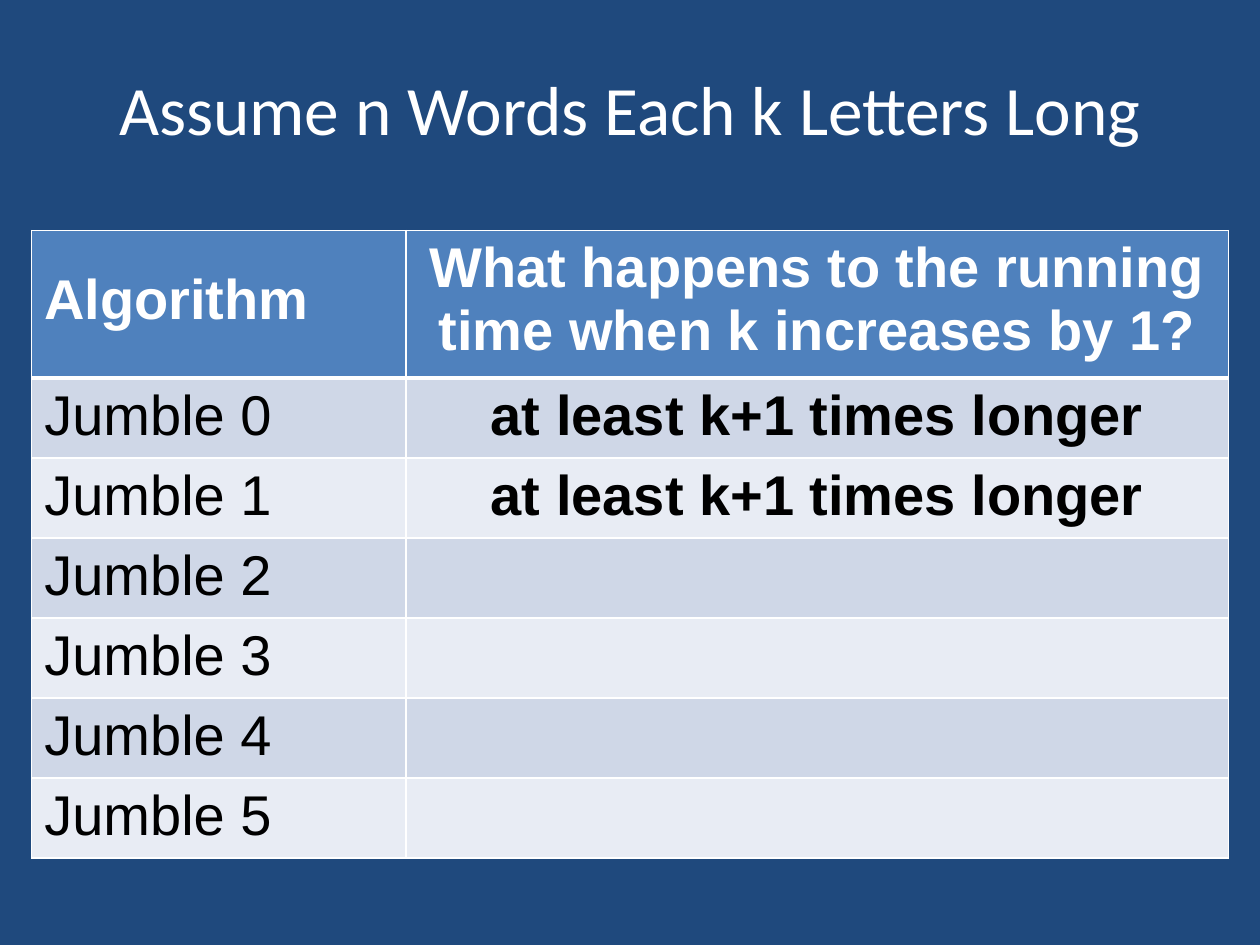
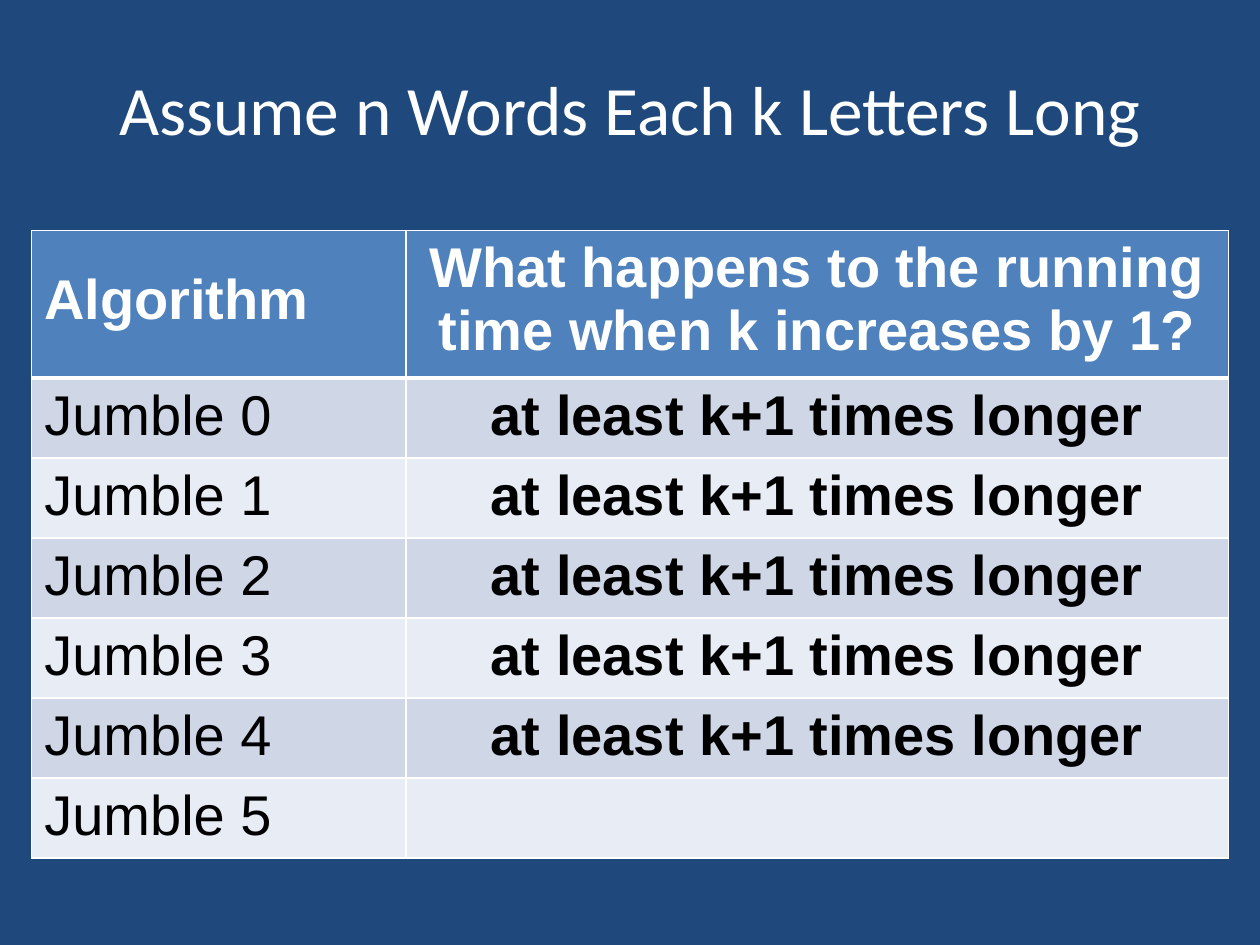
from dataclasses import dataclass

import pptx
import pptx.dml.color
import pptx.enum.text
import pptx.oxml
import pptx.oxml.ns
import pptx.util

Cm = pptx.util.Cm
Pt = pptx.util.Pt
ALIGN = pptx.enum.text.PP_ALIGN

COLORS = {
    "background": "1F497D",
    "header": "4F81BD",
    "odd_row": "CFD7E7",
    "even_row": "E8ECF4",
    "light": "FFFFFF",
    "dark": "000000",
}
TITLE = "Assume n Words Each k Letters Long"
HEADINGS = ("Algorithm", "What happens to the running time when k increases by 1?")
ANSWER = "at least k+1 times longer"
ALGORITHM_COUNT = 6
ANSWERS_PER_SLIDE = (2, 5)

COLUMN_WIDTHS = (Cm(7.54), Cm(16.59))
HEADER_HEIGHT = Cm(2.97)
ROW_HEIGHT = Cm(1.52)
THIN, THICK = Pt(1), Pt(3)


@dataclass
class TextStyle:
    font: str
    size: float
    color: str
    bold: bool = False
    align: ALIGN = ALIGN.LEFT


@dataclass
class CellStyle:
    fill: str
    text: TextStyle
    margin_top: int = Cm(0.13)
    border_top: int = THIN
    border_bottom: int = THIN


TITLE_STYLE = TextStyle("Calibri", 39.6, "light", align=ALIGN.CENTER)


def color(name: str) -> pptx.dml.color.RGBColor:
    return pptx.dml.color.RGBColor.from_string(COLORS[name])


def write_text(text_frame, text: str, style: TextStyle) -> None:
    text_frame.text = text
    paragraph = text_frame.paragraphs[0]
    paragraph.alignment = style.align
    for run in paragraph.runs:
        run.font.name = style.font
        run.font.size = Pt(style.size)
        run.font.bold = style.bold
        run.font.color.rgb = color(style.color)


def set_borders(cell, top: int, bottom: int) -> None:
    """Borders must come before the fill in the cell properties."""
    properties = cell._tc.get_or_add_tcPr()
    sides = {"lnL": THIN, "lnR": THIN, "lnT": top, "lnB": bottom}
    for position, (side, width) in enumerate(sides.items()):
        line = pptx.oxml.parse_xml(
            f'<a:{side} {pptx.oxml.ns.nsdecls("a")} w="{int(width)}">'
            f'<a:solidFill><a:srgbClr val="{COLORS["light"]}"/></a:solidFill>'
            f"</a:{side}>"
        )
        properties.insert(position, line)


def draw_cell(cell, text: str, style: CellStyle) -> None:
    cell.fill.solid()
    cell.fill.fore_color.rgb = color(style.fill)
    cell.margin_top = style.margin_top
    set_borders(cell, style.border_top, style.border_bottom)
    if text:
        write_text(cell.text_frame, text, style.text)


def cell_style(row: int, column: int) -> CellStyle:
    align = ALIGN.CENTER if column else ALIGN.LEFT
    if row == 0:
        return CellStyle(
            "header",
            TextStyle("Arial", 32, "light", True, align),
            margin_top=Cm(0.13 if column else 0.76),
            border_bottom=THICK,
        )
    return CellStyle(
        "odd_row" if row % 2 else "even_row",
        TextStyle("Arial", 32, "dark", column == 1, align),
        border_top=THICK if row == 1 else THIN,
    )


def add_title(slide) -> None:
    box = slide.shapes.add_textbox(Cm(1.27), Cm(1.19), Cm(22.86), Cm(1.98))
    box.text_frame.word_wrap = True
    box.text_frame.vertical_anchor = pptx.enum.text.MSO_ANCHOR.MIDDLE
    write_text(box.text_frame, TITLE, TITLE_STYLE)


def add_running_time_table(slide, answer_count: int) -> None:
    rows = [HEADINGS] + [
        (f"Jumble {number}", ANSWER if number < answer_count else "")
        for number in range(ALGORITHM_COUNT)
    ]
    height = HEADER_HEIGHT + ALGORITHM_COUNT * ROW_HEIGHT
    table = slide.shapes.add_table(
        len(rows), len(HEADINGS), Cm(0.64), Cm(4.65), sum(COLUMN_WIDTHS), height
    ).table
    for column, width in zip(table.columns, COLUMN_WIDTHS):
        column.width = width
    for row_index, texts in enumerate(rows):
        table.rows[row_index].height = ROW_HEIGHT if row_index else HEADER_HEIGHT
        for column_index, text in enumerate(texts):
            cell = table.cell(row_index, column_index)
            draw_cell(cell, text, cell_style(row_index, column_index))


def main() -> None:
    presentation = pptx.Presentation()
    presentation.slide_width = Cm(25.4)
    presentation.slide_height = Cm(19.05)
    for answer_count in ANSWERS_PER_SLIDE:
        slide = presentation.slides.add_slide(presentation.slide_layouts[6])
        slide.background.fill.solid()
        slide.background.fill.fore_color.rgb = color("background")
        add_title(slide)
        add_running_time_table(slide, answer_count)
    presentation.save("out.pptx")


if __name__ == "__main__":
    main()
